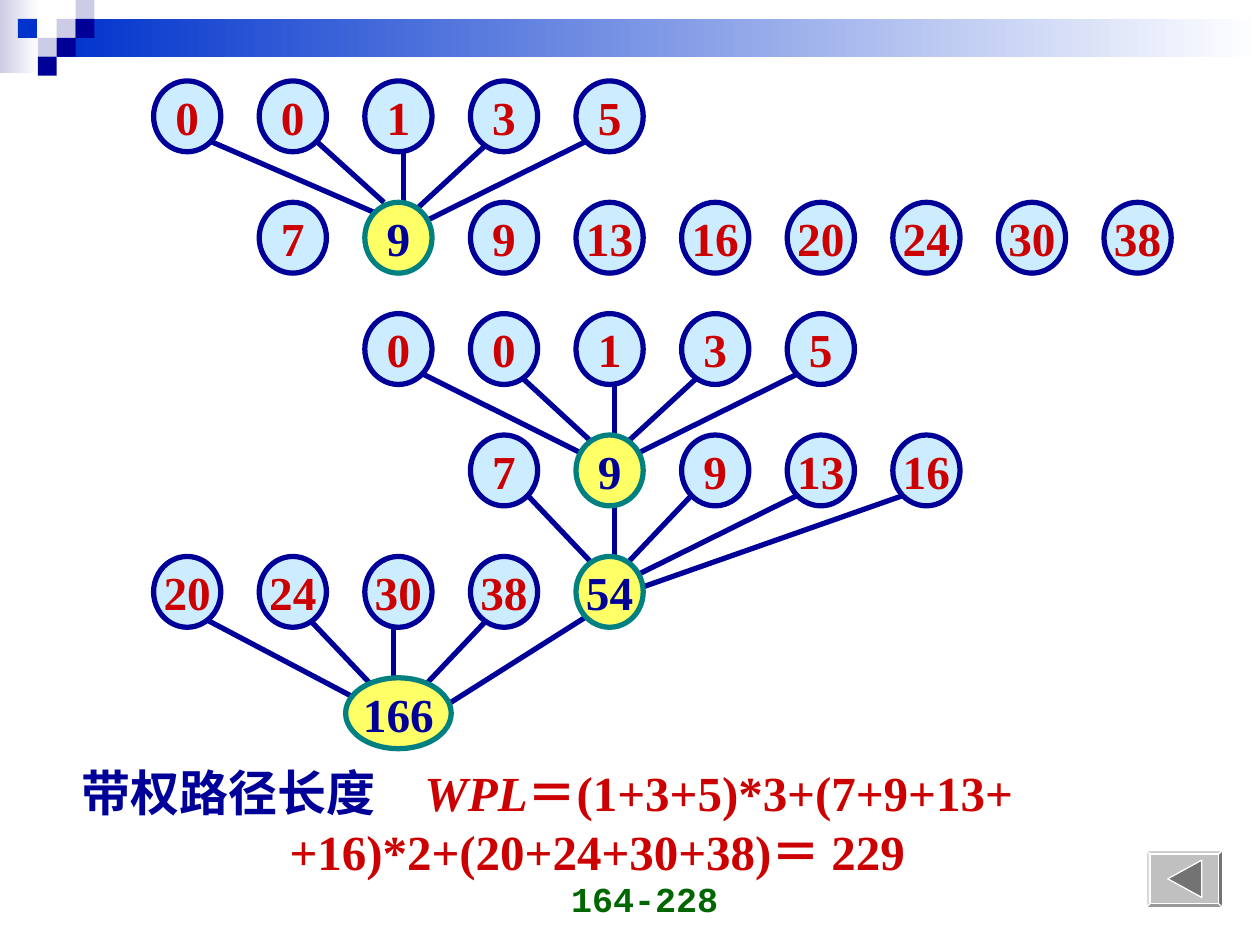
from lxml import etree
from pptx import Presentation
from pptx import util as u
from pptx.dml.color import RGBColor
from pptx.enum import shapes, text
from pptx.oxml.ns import qn

HUE = {"navy": "000099", "blue": "0033CC", "mist": "CCCCE6", "sky": "CCECFF",
       "sun": "FFFF66", "teal": "008080", "red": "CC0000", "green": "006600",
       "gray": "C0C0C0", "dark": "737373", "white": "FFFFFF"}
SERIF, MONO = "Times New Roman", "Courier New"
W, H = u.Inches(10), u.Inches(7.5)
COL, ROW = W / 131.25, H / 93.4   # fine grid of the tree
STEP, SIZE = 11, 7                # node pitch and node size in grid units

# Rows of nodes: column, row, values, index of the merged node
ROWS = [(16, 8, "0 0 1 3 5", None),
        (27, 20, "7 9 9 13 16 20 24 30 38", 1),
        (38, 31, "0 0 1 3 5", None),
        (49, 43, "7 9 9 13 16", 1),
        (16, 55, "20 24 30 38 54", 4)]
# Branches of each merged node: start column and row, end column and row
EDGES = [(22, 14, 39, 21), (33, 14, 40, 20), (42, 15, 42, 20),
         (51, 14, 43, 21), (61, 14, 44, 22),
         (42, 36, 61, 45), (54, 37, 62, 44), (64, 38, 64, 43),
         (73, 37, 65, 44), (83, 37, 66, 45),
         (55, 49, 62, 56), (64, 50, 64, 55), (72, 49, 65, 56),
         (83, 49, 66, 57), (94, 49, 67, 58),
         (21, 61, 37, 69), (32, 61, 39, 68), (41, 62, 41, 67),
         (51, 61, 44, 68), (61, 61, 46, 70)]


def rgb(hue):
    return RGBColor.from_string(HUE[hue])


def share(x, y, w, h):
    return [int(v) for v in (x * W, y * H, w * W, h * H)]


def shape(page, kind, box, fill, line=None, width=3):
    s = page.shapes.add_shape(kind, *(int(v) for v in box))
    paint(s, fill, line, width)
    return s


def paint(s, fill, line, width):
    s.shadow.inherit = False
    s.fill.solid()
    s.fill.fore_color.rgb = rgb(fill)
    if line:
        s.line.color.rgb = rgb(line)
        s.line.width = u.Pt(width)
    else:
        s.line.fill.background()


def write(par, words, size, hue, face=SERIF, slant=False):
    run = par.add_run()
    run.text = words
    font = run.font
    font.name, font.size, font.bold, font.italic = face, u.Pt(size), True, slant
    font.color.rgb = rgb(hue)


def fade(s, hue):
    s.fill.gradient()
    s.fill.gradient_angle = 0
    for stop, tone in zip(s.fill.gradient_stops, (hue, "white")):
        stop.color.rgb = rgb(tone)


def band(page, cell):
    """Fading bars and checker squares, on square cells."""
    rect = shapes.MSO_SHAPE.RECTANGLE
    bars = [(0, 0, 2.05, 3.85, "mist"), (3, 1, W / cell - 3, 2, "blue")]
    for x, y, w, h, hue in bars:
        fade(shape(page, rect, [v * cell for v in (x, y, w, h)], hue), hue)
    tiles = [(3, 1, "mist"), (4, 0, "mist"), (4, 1, "navy"), (2, 2, "mist"),
             (0.95, 1, "blue"), (3, 2, "navy"), (2, 3, "navy")]
    for x, y, hue in tiles:
        shape(page, rect, [v * cell for v in (x, y, 1, 1)], hue)


def node(page, col, row, word, merged, wide=SIZE):
    box = (col * COL, row * ROW, wide * COL, SIZE * ROW)
    fill, line, ink = ("sun", "teal", "navy") if merged else ("sky", "navy", "red")
    s = shape(page, shapes.MSO_SHAPE.OVAL, box, fill, line)
    frame = s.text_frame
    frame.word_wrap = False
    frame.vertical_anchor = text.MSO_ANCHOR.MIDDLE
    par = frame.paragraphs[0]
    par.alignment = text.PP_ALIGN.CENTER
    write(par, word, 27, ink)


def edge(page, x1, y1, x2, y2):
    c = page.shapes.add_connector(
        shapes.MSO_CONNECTOR.STRAIGHT,
        *(int(v) for v in (x1 * COL, y1 * ROW, x2 * COL, y2 * ROW)))
    c.line.color.rgb = rgb("navy")
    c.line.width = u.Pt(3)
    etree.SubElement(c._element.spPr, qn("a:effectLst"))


def tree(page):
    for ends in EDGES:
        edge(page, *ends)
    for col, row, words, merged in ROWS:
        for i, word in enumerate(words.split()):
            node(page, col + i * STEP, row, word, i == merged)
    node(page, 36, 67, "166", True, STEP)


def total(page, box):
    """Weighted path length; a tab and an indent line up the sum."""
    frame = page.shapes.add_textbox(*box).text_frame
    frame.word_wrap = True
    top, low = frame.paragraphs[0], frame.add_paragraph()
    stops = etree.SubElement(top._p.get_or_add_pPr(), qn("a:tabLst"))
    etree.SubElement(stops, qn("a:tab"), pos=str(u.Inches(2.72)), algn="l")
    low._p.get_or_add_pPr().set("marL", str(u.Inches(1.65)))
    write(top, "带权路径长度\t", 28, "navy")
    write(top, "WPL", 28, "red", slant=True)
    write(top, "＝(1+3+5)*3+(7+9+13+", 28, "red")
    write(low, "+16)*2+(20+24+30+38)＝ 229", 28, "red")


def foot(page, box):
    frame = page.shapes.add_textbox(*box).text_frame
    frame.word_wrap = True
    frame.vertical_anchor = text.MSO_ANCHOR.BOTTOM
    par = frame.paragraphs[0]
    par.alignment = text.PP_ALIGN.RIGHT
    write(par, "164-228", 20, "green", MONO)


def button(page, box):
    """Bevelled back button with its arrow."""
    s = shape(page, shapes.MSO_SHAPE.BEVEL, box, "gray", "white", 0.75)
    s.adjustments[0] = 0.06
    x, y, w, h = box
    tip, back = x + 0.28 * w, x + 0.73 * w
    pen = page.shapes.build_freeform(int(tip), int(y + h / 2))
    pen.add_line_segments([(int(back), int(y + 0.17 * h)),
                           (int(back), int(y + 0.83 * h))], close=True)
    paint(pen.convert_to_shape(), "dark", "white", 0.75)


def main():
    deck = Presentation()
    deck.slide_width, deck.slide_height = W, H
    page = deck.slides.add_slide(deck.slide_layouts[6])
    band(page, 0.015 * W)
    foot(page, share(0.35, 0.91, 0.23, 0.07))
    total(page, share(0.055, 0.8, 0.88, 0.14))
    tree(page)
    button(page, share(0.91, 0.9, 0.06, 0.06))
    deck.save("out.pptx")


if __name__ == "__main__":
    main()
